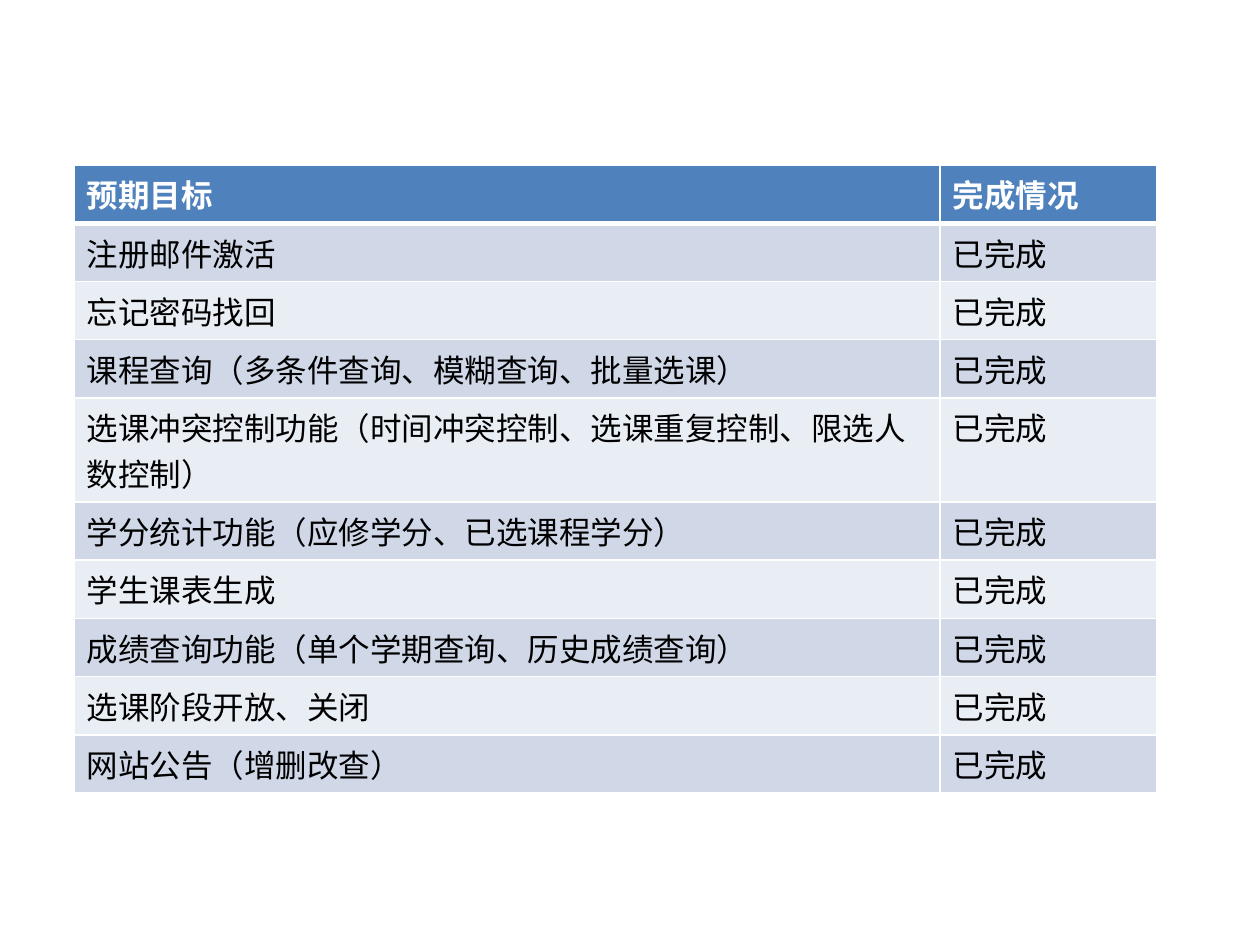
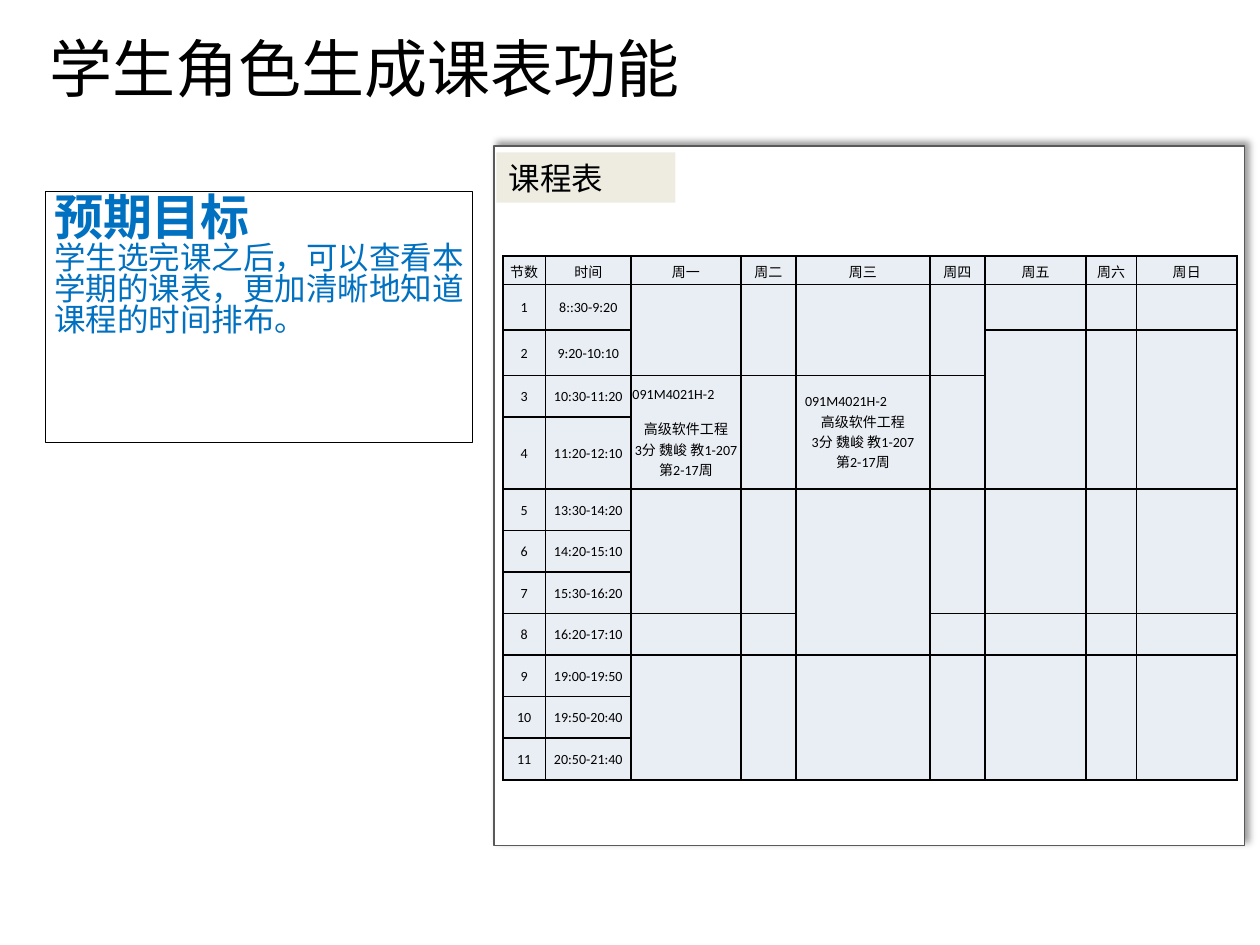
"""Build two slides: the goal checklist and the student timetable."""
from dataclasses import dataclass

from lxml.etree import SubElement
from pptx import Presentation
from pptx.dml.color import RGBColor as RGB
from pptx.enum.shapes import MSO_SHAPE as SHAPE
from pptx.enum.text import MSO_ANCHOR as ANCHOR, MSO_AUTO_SIZE as AUTO, PP_ALIGN as ALIGN
from pptx.oxml.ns import qn
from pptx.util import Inches, Pt


@dataclass(frozen=True)
class Theme:
    font: str = "Arial"
    grid_font: str = "Calibri"
    black: str = "000000"
    white: str = "FFFFFF"
    header: str = "4F81BD"
    band_dark: str = "D0D8E8"
    band_light: str = "E9EDF4"
    accent: str = "0070C0"
    frame: str = "595959"
    label: str = "EEECE1"
    title: int = 36
    heading: int = 28
    body: int = 18
    grid: int = 8


class Deck:
    def __init__(self, theme):
        self.t = theme
        self.prs = Presentation()
        self.prs.slide_width, self.prs.slide_height = Inches(10), Inches(7.5)
        self.s = None

    def slide(self, title=None, box=None):
        self.s = self.prs.slides.add_slide(self.prs.slide_layouts[6 if title is None else 5])
        if title is None:
            return
        sp = self.s.shapes.title
        sp.left, sp.top, sp.width, sp.height = map(Inches, box)
        tf = sp.text_frame
        tf.auto_size, tf.word_wrap = AUTO.NONE, False
        tf.vertical_anchor = ANCHOR.MIDDLE
        tf.margin_left = tf.margin_right = tf.margin_top = tf.margin_bottom = 0
        tf.paragraphs[0].alignment = ALIGN.CENTER
        self.run(tf.paragraphs[0], title, self.t.title)

    def run(self, p, text, size, color=None, bold=False, font=None):
        r = p.add_run()
        r.text = text
        r.font.name, r.font.size, r.font.bold = font or self.t.font, Pt(size), bold
        r.font.color.rgb = RGB.from_string(color or self.t.black)

    def rect(self, box, fill=None, line=None, lines=(), spacing=None, margins=(0.1, 0.05)):
        sp = self.s.shapes.add_shape(SHAPE.RECTANGLE, *map(Inches, box))
        sp.shadow.inherit = False
        if fill:
            sp.fill.solid()
            sp.fill.fore_color.rgb = RGB.from_string(fill)
        else:
            sp.fill.background()
        if line:
            sp.line.color.rgb = RGB.from_string(line)
            sp.line.width = Pt(0.75)
        else:
            sp.line.fill.background()
        tf = sp.text_frame
        tf.word_wrap, tf.vertical_anchor = True, ANCHOR.TOP
        tf.margin_left = tf.margin_right = Inches(margins[0])
        tf.margin_top = tf.margin_bottom = Inches(margins[1])
        for i, (text, size, color, bold) in enumerate(lines):
            p = tf.add_paragraph() if i else tf.paragraphs[0]
            p.alignment, p.line_spacing = ALIGN.LEFT, spacing
            self.run(p, text, size, color, bold)
        return sp

    def drop_shadow(self, sp):
        effects = sp._element.spPr.find(qn("a:effectLst"))
        shadow = SubElement(effects, qn("a:outerShdw"), blurRad=str(Pt(4)), dist=str(Pt(3)),
                            dir=str(315 * 60000), algn="bl", rotWithShape="0")
        color = SubElement(shadow, qn("a:srgbClr"), val=self.t.black)
        SubElement(color, qn("a:alpha"), val="40000")

    def table(self, left, top, widths, heights):
        frame = self.s.shapes.add_table(len(heights), len(widths), Inches(left), Inches(top),
                                        Inches(sum(widths)), Inches(sum(heights)))
        tb = frame.table
        tb.first_row = tb.horz_banding = False
        for col, width in zip(tb.columns, widths):
            col.width = Inches(width)
        for row, height in zip(tb.rows, heights):
            row.height = Inches(height)
        return tb

    def style_cell(self, cell, fill, border, bottom=1):
        tcPr = cell._tc.get_or_add_tcPr()
        for side, width in (("L", 1), ("R", 1), ("T", 1), ("B", bottom)):
            ln = SubElement(tcPr, qn(f"a:ln{side}"), w=str(Pt(width)))
            SubElement(SubElement(ln, qn("a:solidFill")), qn("a:srgbClr"), val=border)
        cell.fill.solid()
        cell.fill.fore_color.rgb = RGB.from_string(fill)

    def checklist(self, left, top, widths, heights, rows):
        t = self.t
        tb = self.table(left, top, widths, heights)
        for i, row in enumerate(rows):
            head = i == 0
            fill = t.header if head else t.band_dark if i % 2 else t.band_light
            for j, text in enumerate(row):
                cell = tb.cell(i, j)
                self.style_cell(cell, fill, t.white, 3 if head else 1)
                self.run(cell.text_frame.paragraphs[0], text, t.body,
                         t.white if head else t.black, head)

    def timetable(self, left, top, widths, heights, entries, spans):
        t = self.t
        tb = self.table(left, top, widths, heights)
        for first, last, cols in spans:
            for col in cols:
                tb.cell(first, col).merge(tb.cell(last, col))
        for i in range(len(heights)):
            for j in range(len(widths)):
                cell = tb.cell(i, j)
                self.style_cell(cell, t.band_light, t.black)
                cell.vertical_anchor = ANCHOR.MIDDLE
                cell.margin_left = cell.margin_right = cell.margin_top = Inches(0.01)
                cell.margin_bottom = 0
                tf = cell.text_frame
                for k, text in enumerate(entries.get((i, j), [""])):
                    p = tf.add_paragraph() if k else tf.paragraphs[0]
                    p.alignment = ALIGN.CENTER
                    if text:
                        self.run(p, text, t.grid, font=t.grid_font)
                    else:
                        SubElement(p._p, qn("a:endParaRPr"), sz=str(t.grid * 100))
        return tb


def goals_slide(deck):
    goals = ["注册邮件激活", "忘记密码找回", "课程查询（多条件查询、模糊查询、批量选课）",
             "选课冲突控制功能（时间冲突控制、选课重复控制、限选人数控制）",
             "学分统计功能（应修学分、已选课程学分）", "学生课表生成",
             "成绩查询功能（单个学期查询、历史成绩查询）", "选课阶段开放、关闭",
             "网站公告（增删改查）"]
    rows = [("预期目标", "完成情况")] + [(goal, "已完成") for goal in goals]
    heights = [0.39] * 4 + [0.67] + [0.39] * 5
    deck.slide()
    deck.checklist(0.59, 1.31, [6.87, 1.72], heights, rows)


def timetable_slide(deck):
    t = deck.t
    deck.slide("学生角色生成课表功能", (0.36, 0.23, 5.07, 0.61))
    deck.rect((0.36, 1.52, 3.39, 1.99), line=t.black, spacing=0.82, margins=(0.07, 0.04), lines=[
        ("预期目标", t.heading, t.accent, True),
        ("学生选完课之后，可以查看本学期的课表，更加清晰地知道课程的时间排布。",
         t.body, t.accent, False)])
    deck.drop_shadow(deck.rect((3.92, 1.16, 5.96, 5.55), t.white, t.frame))
    deck.rect((3.94, 1.21, 1.42, 0.4), t.label, lines=[("课程表", t.body, t.black, False)])

    days = ["节数", "时间", "周一", "周二", "周三", "周四", "周五", "周六", "周日"]
    times = ["8::30-9:20", "9:20-10:10", "10:30-11:20", "11:20-12:10", "13:30-14:20",
             "14:20-15:10", "15:30-16:20", "16:20-17:10", "19:00-19:50", "19:50-20:40",
             "20:50-21:40"]
    course = ["091M4021H-2", "高级软件工程", "3分 魏峻 教1-207", "第2-17周"]
    monday, wednesday = 2, 4
    weekdays, weekend = range(2, 6), range(6, 9)
    entries = {(0, j): [day] for j, day in enumerate(days)}
    for i, time in enumerate(times, 1):
        entries[i, 0], entries[i, 1] = [str(i)], [time]
    entries[3, monday] = entries[3, wednesday] = course
    spans = [(1, 2, weekdays), (3, 4, weekdays), (2, 4, weekend),
             (5, 7, [2, 3, 5, 6, 7, 8]), (5, 8, [wednesday]), (9, 11, range(2, 9))]
    widths = [0.34, 0.68, 0.87, 0.44, 1.06, 0.44, 0.8, 0.4, 0.8]
    heights = [0.23, 0.36, 0.36, 0.33, 0.57] + [0.33] * 7
    tb = deck.timetable(3.99, 2.03, widths, heights, entries, spans)
    for col, indent, gap in ((monday, 0, 9), (wednesday, 0.06, 0)):
        cell = tb.cell(3, col)
        p = cell.text_frame.paragraphs[0]
        p.alignment, p.space_after = ALIGN.LEFT, Pt(gap)
        p._p.get_or_add_pPr().set("marL", str(Inches(indent)))


def main():
    deck = Deck(Theme())
    goals_slide(deck)
    timetable_slide(deck)
    deck.prs.save("out.pptx")


if __name__ == "__main__":
    main()
